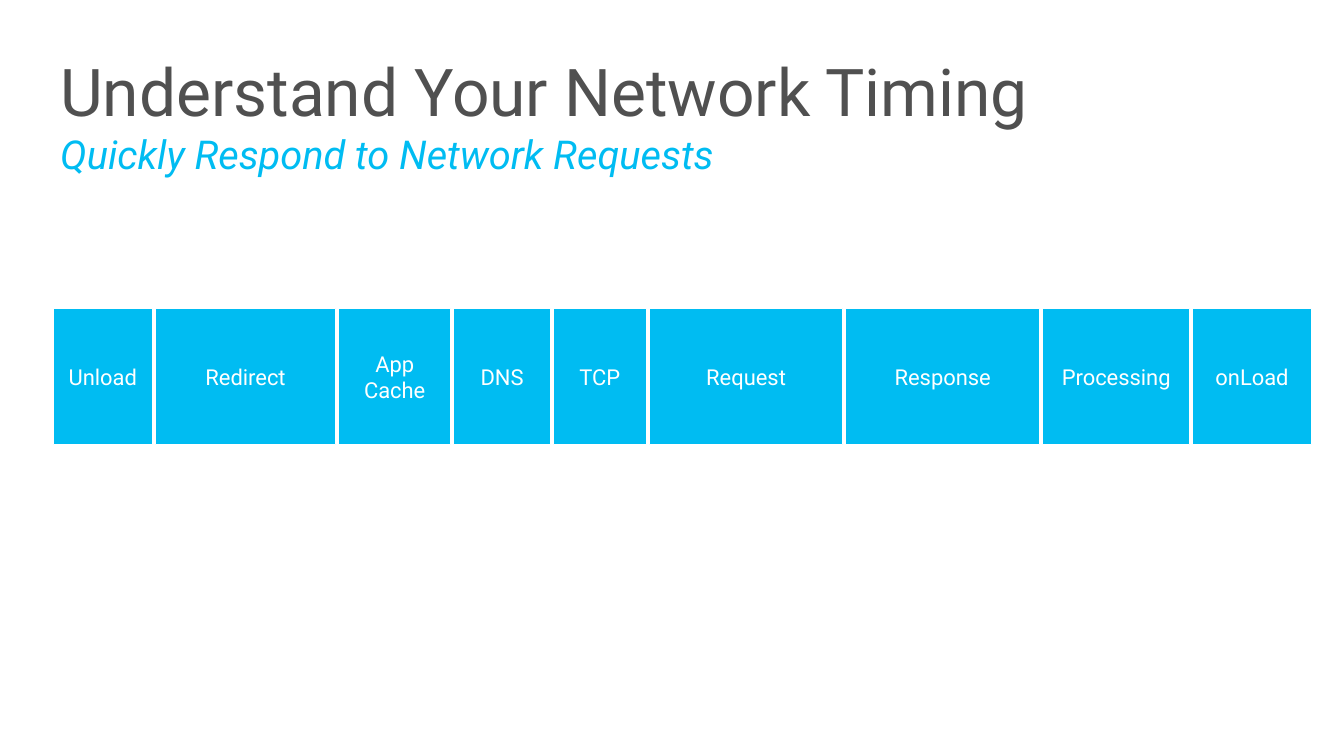
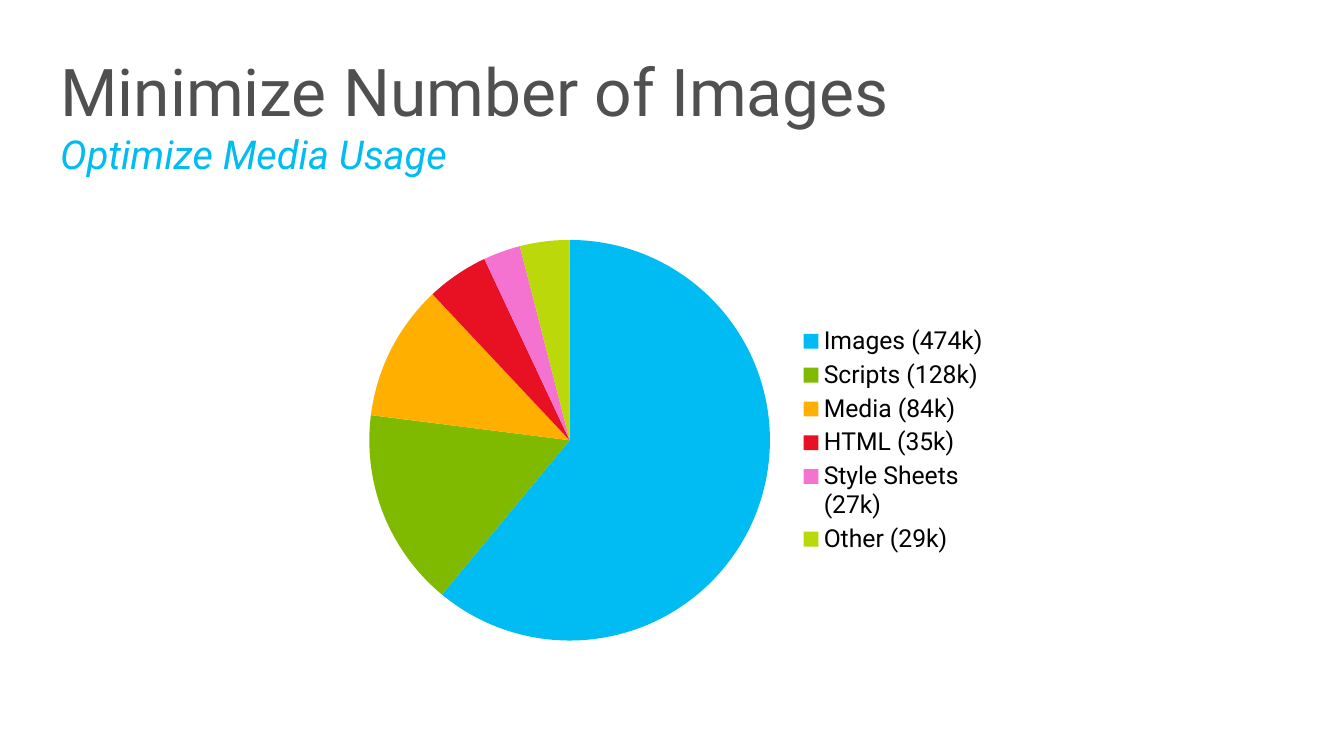
from pptx import Presentation
from pptx.chart.data import CategoryChartData
from pptx.dml.color import RGBColor
from pptx.enum import chart as charts, shapes, text
from pptx.util import Inches, Pt

FONT = "Roboto"
COLORS = {
    "title": "505050",
    "blue": "00BCF2",
    "green": "7FBA00",
    "orange": "FFAF00",
    "red": "E81123",
    "pink": "F472D0",
    "lime": "BAD80A",
    "white": "FFFFFF",
    "black": "000000",
}

# Phases of a page load, with their widths in inches
PHASES = [
    ("Unload", 1), ("Redirect", 1.83), ("App Cache", 1.13),
    ("DNS", 0.98), ("TCP", 0.94), ("Request", 1.96),
    ("Response", 1.96), ("Processing", 1.49), ("onLoad", 1.2),
]

# Content types, with their share in percent and slice color
SHARES = [
    ("Images (474k)", 61, "blue"),
    ("Scripts (128k)", 16, "green"),
    ("Media (84k)", 11, "orange"),
    ("HTML (35k)", 5, "red"),
    ("Style Sheets (27k)", 3, "pink"),
    ("Other (29k)", 4, "lime"),
]


def color(name):
    return RGBColor.from_string(COLORS[name])


def style_font(font, size, color_name, italic=False):
    font.name = FONT
    font.size = Pt(size)
    font.italic = italic
    font.color.rgb = color(color_name)


def add_page(deck, title, subtitle):
    """Add a blank slide with the shared two-line heading."""
    page = deck.slides.add_slide(deck.slide_layouts[6])
    box = page.shapes.add_textbox(Inches(0.61), Inches(0.51), Inches(12.24), Inches(0.81))
    frame = box.text_frame
    frame.word_wrap = True
    frame.margin_left = frame.margin_right = frame.margin_top = frame.margin_bottom = 0
    frame.text = f"{title}\n{subtitle}"
    heading, subheading = frame.paragraphs
    style_font(heading.font, 48, "title")
    style_font(subheading.font, 29, "blue", italic=True)
    return page


def add_block(page, label, left, top, width, height):
    block = page.shapes.add_shape(
        shapes.MSO_SHAPE.RECTANGLE, Inches(left), Inches(top), Inches(width), Inches(height))
    block.shadow.inherit = False
    block.fill.solid()
    block.fill.fore_color.rgb = color("blue")
    block.line.color.rgb = color("white")
    block.line.width = Pt(0.75)
    frame = block.text_frame
    frame.word_wrap = True
    frame.vertical_anchor = text.MSO_ANCHOR.MIDDLE
    frame.text = label
    para = frame.paragraphs[0]
    para.alignment = text.PP_ALIGN.CENTER
    style_font(para.font, 16, "white")


def add_timeline(page, phases, left=0.54, top=3.12, height=1.38, gap=0.03):
    """Lay the blocks side by side with equal gaps."""
    for label, width in phases:
        add_block(page, label, left, top, width, height)
        left += width + gap


def add_pie(page, shares):
    data = CategoryChartData()
    data.categories = [label for label, _, _ in shares]
    data.add_series("Series 1", [value for _, value, _ in shares])
    chart = page.shapes.add_chart(
        charts.XL_CHART_TYPE.PIE, Inches(3.48), Inches(2.29), Inches(6.63), Inches(4.33), data).chart
    style_font(chart.font, 18, "black")
    chart.has_title = False
    chart.has_legend = True
    chart.legend.position = charts.XL_LEGEND_POSITION.RIGHT
    chart.legend.include_in_layout = False
    plot = chart.plots[0]
    plot.vary_by_categories = True
    for index, (_, _, color_name) in enumerate(shares):
        slice_format = plot.series[0].points[index].format
        slice_format.fill.solid()
        slice_format.fill.fore_color.rgb = color(color_name)
        slice_format.line.fill.background()


def main():
    deck = Presentation()
    deck.slide_width, deck.slide_height = Inches(13.6), Inches(7.65)

    # Network timing
    page = add_page(deck, "Understand Your Network Timing", "Quickly Respond to Network Requests")
    add_timeline(page, PHASES)

    # Media usage
    page = add_page(deck, "Minimize Number of Images", "Optimize Media Usage")
    add_pie(page, SHARES)

    deck.save("out.pptx")


if __name__ == "__main__":
    main()
